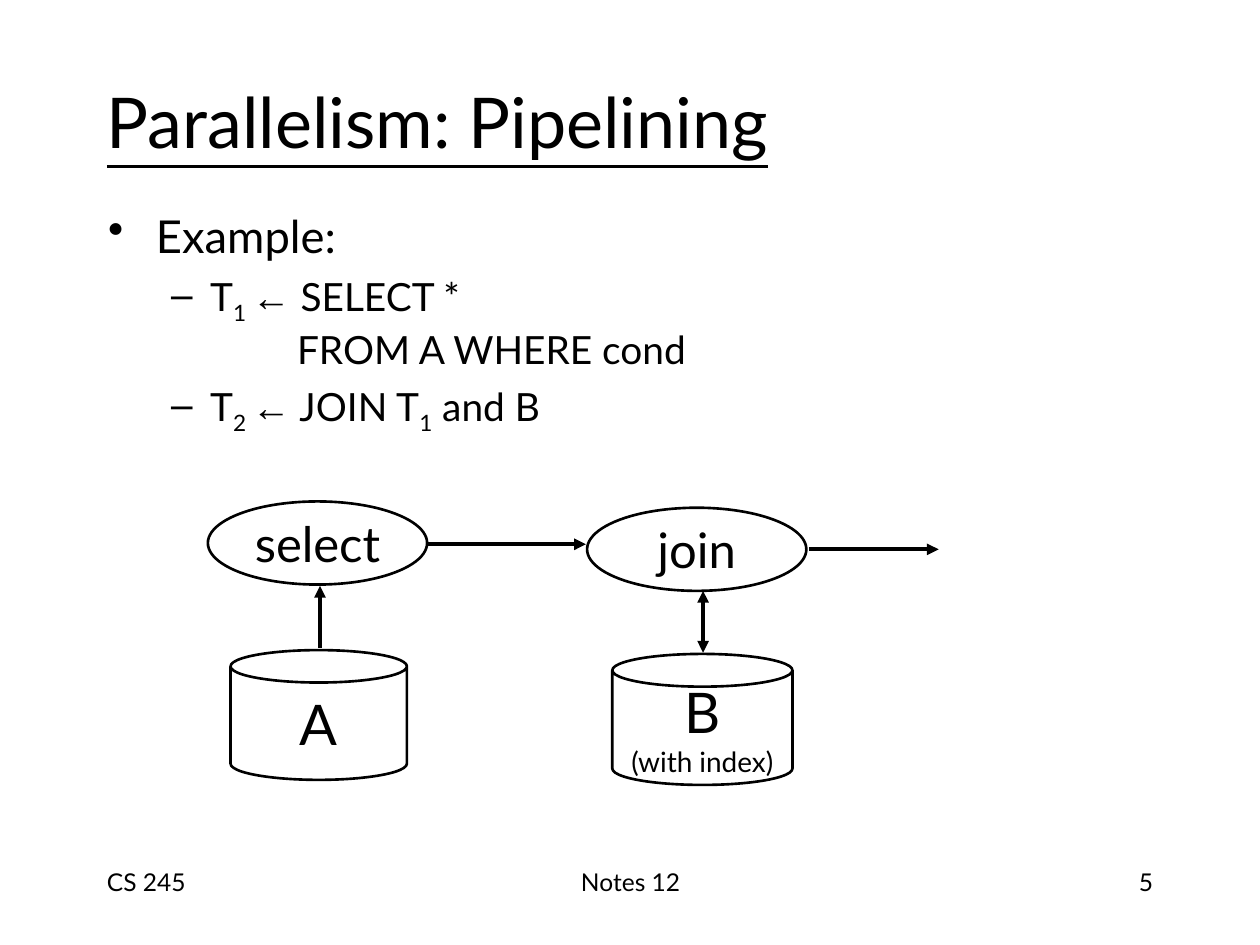
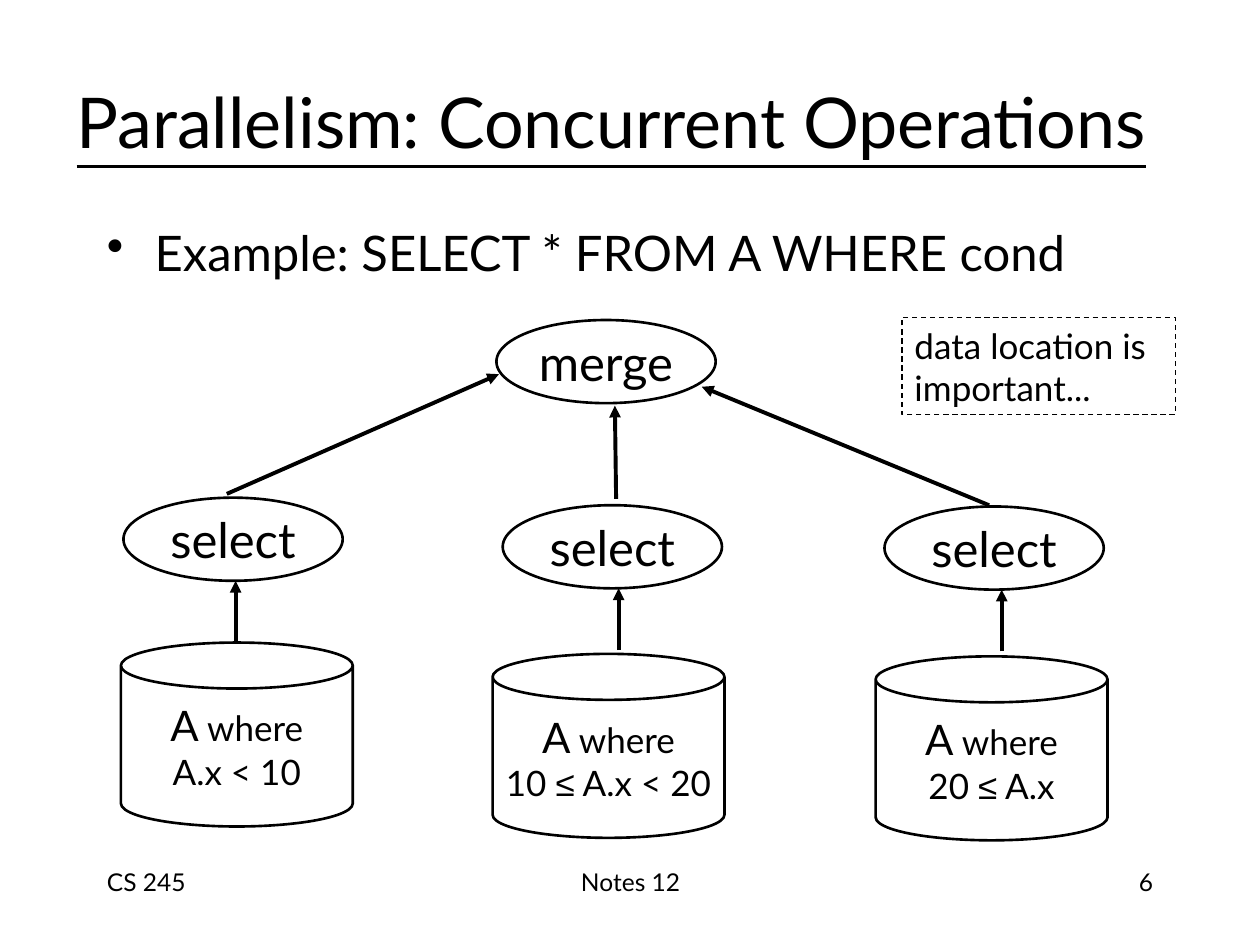
from dataclasses import dataclass

from lxml.etree import SubElement
from pptx import Presentation
from pptx.dml.color import RGBColor
from pptx.enum.dml import MSO_LINE
from pptx.enum.shapes import MSO_CONNECTOR, MSO_SHAPE
from pptx.enum.text import MSO_ANCHOR, PP_ALIGN
from pptx.oxml.ns import qn
from pptx.slide import Slide
from pptx.text.text import TextFrame
from pptx.util import Inches, Pt


@dataclass(frozen=True)
class Theme:
    ink: RGBColor = RGBColor(0, 0, 0)
    paper: RGBColor = RGBColor(255, 255, 255)
    font: str = "Lato"
    sign: str = "Arial"
    title: float = 40
    store: float = 32
    large: float = 28
    lead: float = 25.9
    share: float = 24
    item: float = 22.2
    note: float = 20
    small: float = 16
    foot: float = 14
    edge: float = 1.5
    flow: float = 2.25
    thin: float = 0.75


THEME = Theme()


@dataclass(frozen=True)
class Run:
    text: str
    size: float
    font: str = THEME.font
    sub: bool = False
    under: bool = False


@dataclass(frozen=True)
class Para:
    runs: list[Run]
    align: PP_ALIGN = PP_ALIGN.LEFT
    bullet: str = ""
    left: float = 0
    hang: float = 0
    before: float = 0
    level: int = 0


@dataclass(frozen=True)
class Box:
    left: float
    top: float
    width: float
    height: float

    def spread(self) -> list[int]:
        """Give the four lengths in the order that python-pptx takes them."""
        return [Inches(n) for n in (self.left, self.top, self.width, self.height)]


@dataclass(frozen=True)
class Node:
    kind: MSO_SHAPE
    box: Box
    paras: list[Para]


@dataclass(frozen=True)
class Arrow:
    start: tuple[float, float]
    end: tuple[float, float]
    both: bool = False


@dataclass(frozen=True)
class Branch:
    """One select step with its share of table A below it."""
    oval: tuple[float, float]
    can: tuple[float, float]
    flow: float
    test: list[Run]


OVAL_W, OVAL_H = 1.74, 0.66
RISE = 0.49


def write(frame: TextFrame, paras: list[Para]) -> None:
    for index, para in enumerate(paras):
        line = frame.add_paragraph() if index else frame.paragraphs[0]
        line.alignment = para.align
        line.level = para.level
        props = line._p.get_or_add_pPr()
        if para.left:
            props.set("marL", str(Inches(para.left)))
            props.set("indent", str(Inches(para.hang)))
        if para.bullet:
            SubElement(props, qn("a:buChar")).set("char", para.bullet)
        else:
            SubElement(props, qn("a:buNone"))
        line.space_before = Pt(para.before)
        for piece in para.runs:
            run = line.add_run()
            run.text = piece.text
            run.font.size = Pt(piece.size)
            run.font.name = piece.font
            run.font.color.rgb = THEME.ink
            if piece.under:
                run.font.underline = True
            if piece.sub:
                run._r.get_or_add_rPr().set("baseline", "-25000")


def add_text(slide: Slide, box: Box, paras: list[Para],
             anchor: MSO_ANCHOR = MSO_ANCHOR.TOP) -> None:
    frame = slide.shapes.add_textbox(*box.spread()).text_frame
    frame.word_wrap = True
    frame.vertical_anchor = anchor
    write(frame, paras)


def add_node(slide: Slide, node: Node) -> None:
    shape = slide.shapes.add_shape(node.kind, *node.box.spread())
    shape.shadow.inherit = False
    shape.line.color.rgb = THEME.ink
    framed = node.kind == MSO_SHAPE.RECTANGLE
    if framed:
        shape.fill.background()
        shape.line.width = Pt(THEME.thin)
        shape.line.dash_style = MSO_LINE.DASH
    else:
        shape.fill.solid()
        shape.fill.fore_color.rgb = THEME.paper
        shape.line.width = Pt(THEME.edge)
    shape.text_frame.word_wrap = framed
    shape.text_frame.vertical_anchor = MSO_ANCHOR.MIDDLE
    write(shape.text_frame, node.paras)


def add_arrow(slide: Slide, arrow: Arrow) -> None:
    ends = [Inches(n) for n in (*arrow.start, *arrow.end)]
    line = slide.shapes.add_connector(MSO_CONNECTOR.STRAIGHT, *ends)
    line.line.color.rgb = THEME.ink
    line.line.width = Pt(THEME.flow)
    props = line._element.spPr
    stroke = props.find(qn("a:ln"))
    for tag in ("a:headEnd", "a:tailEnd") if arrow.both else ("a:tailEnd",):
        SubElement(stroke, qn(tag)).set("type", "triangle")
    SubElement(props, qn("a:effectLst"))


def mid(*runs: Run) -> Para:
    return Para(list(runs), PP_ALIGN.CENTER)


def oval(left: float, top: float, text: str) -> Node:
    return Node(MSO_SHAPE.OVAL, Box(left, top, OVAL_W, OVAL_H),
                [mid(Run(text, THEME.large))])


def point(text: str, size: float) -> Para:
    return Para([Run(text, size)], bullet="•", left=0.38, hang=-0.38)


def item(*runs: Run) -> Para:
    return Para(list(runs), bullet="–", left=0.81, hang=-0.31, before=6, level=1)


def term(text: str, sub: bool = False) -> Run:
    return Run(text, THEME.item, sub=sub)


def start_slide(deck: Presentation, number: int, title: str, box: Box) -> Slide:
    """Add a blank slide with its title and footers."""
    slide = deck.slides.add_slide(deck.slide_layouts[6])
    feet = [(0.75, 2.08, PP_ALIGN.LEFT, "CS 245"),
            (3.42, 3.17, PP_ALIGN.CENTER, "Notes 12"),
            (7.17, 2.08, PP_ALIGN.RIGHT, str(number))]
    for left, width, align, text in feet:
        add_text(slide, Box(left, 6.83, width, 0.5),
                 [Para([Run(text, THEME.foot)], align)])
    add_text(slide, box, [Para([Run(title, THEME.title, under=True)])],
             MSO_ANCHOR.MIDDLE)
    return slide


def draw(slide: Slide, nodes: list[Node], arrows: list[Arrow]) -> None:
    for node in nodes:
        add_node(slide, node)
    for arrow in arrows:
        add_arrow(slide, arrow)


def pipeline(deck: Presentation) -> None:
    slide = start_slide(deck, 5, "Parallelism: Pipelining",
                        Box(0.75, 0.43, 8.5, 1.05))
    gets = Run("←", THEME.item, THEME.sign)
    add_text(slide, Box(0.76, 1.6, 8.5, 1.99), [
        point("Example:", THEME.lead),
        item(term("T"), term("1 ", True), gets, term(" SELECT *")),
        Para([term("FROM A WHERE cond")], left=1.5, level=1),
        item(term("T"), term("2 ", True), gets, term(" JOIN T"),
             term("1", True), term(" and B")),
    ])
    nodes = [
        Node(MSO_SHAPE.CAN, Box(1.83, 5.16, 1.4, 1.03),
             [mid(Run("A", THEME.store))]),
        Node(MSO_SHAPE.CAN, Box(4.86, 5.19, 1.43, 1.04),
             [mid(Run("B", THEME.store)), mid(Run("(with index)", THEME.small))]),
        oval(1.65, 3.98, "select"),
        oval(4.66, 4.03, "join"),
    ]
    arrows = [
        Arrow((2.54, 5.14), (2.54, 5.14 - RISE)),
        Arrow((5.58, 5.18), (5.58, 5.18 - RISE), both=True),
        Arrow((3.4, 4.32), (4.65, 4.32)),
        Arrow((6.42, 4.36), (7.45, 4.36)),
    ]
    draw(slide, nodes, arrows)


def parallel(deck: Presentation) -> None:
    slide = start_slide(deck, 6, "Parallelism: Concurrent Operations",
                        Box(0.51, 0.43, 8.83, 1.05))
    add_text(slide, Box(0.75, 1.72, 8.5, 0.6),
             [point("Example: SELECT * FROM A WHERE cond", THEME.large)])

    def note(text: str) -> Run:
        return Run(text, THEME.note)

    most = Run("≤", THEME.note, THEME.sign)
    branches = [
        Branch((0.98, 3.95), (0.96, 5.1), 1.87, [note("A.x < 10")]),
        Branch((3.99, 4.01), (3.91, 5.19), 4.91,
               [note("10 "), most, note(" A.x < 20")]),
        Branch((7.02, 4.02), (6.95, 5.21), 7.95,
               [note("20 "), most, note(" A.x")]),
    ]
    nodes = [
        oval(3.94, 2.54, "merge"),
        Node(MSO_SHAPE.RECTANGLE, Box(7.16, 2.52, 2.17, 0.77),
             [Para([note("data location is")]), Para([note("important...")])]),
    ]
    arrows = [
        Arrow((1.8, 3.92), (3.96, 2.97)),
        Arrow((4.89, 3.96), (4.88, 3.22)),
        Arrow((7.85, 4.01), (5.57, 3.07)),
    ]
    for branch in branches:
        share = mid(Run("A", THEME.share), note(" where"))
        nodes += [oval(*branch.oval, "select"),
                  Node(MSO_SHAPE.CAN, Box(*branch.can, 1.84, 1.46),
                       [share, mid(*branch.test)])]
        tip = branch.oval[1] + OVAL_H
        arrows.append(Arrow((branch.flow, tip + RISE), (branch.flow, tip)))
    draw(slide, nodes, arrows)


def main() -> None:
    deck = Presentation()
    deck.slide_width, deck.slide_height = Inches(10), Inches(7.5)
    pipeline(deck)
    parallel(deck)
    deck.save("out.pptx")


if __name__ == "__main__":
    main()
